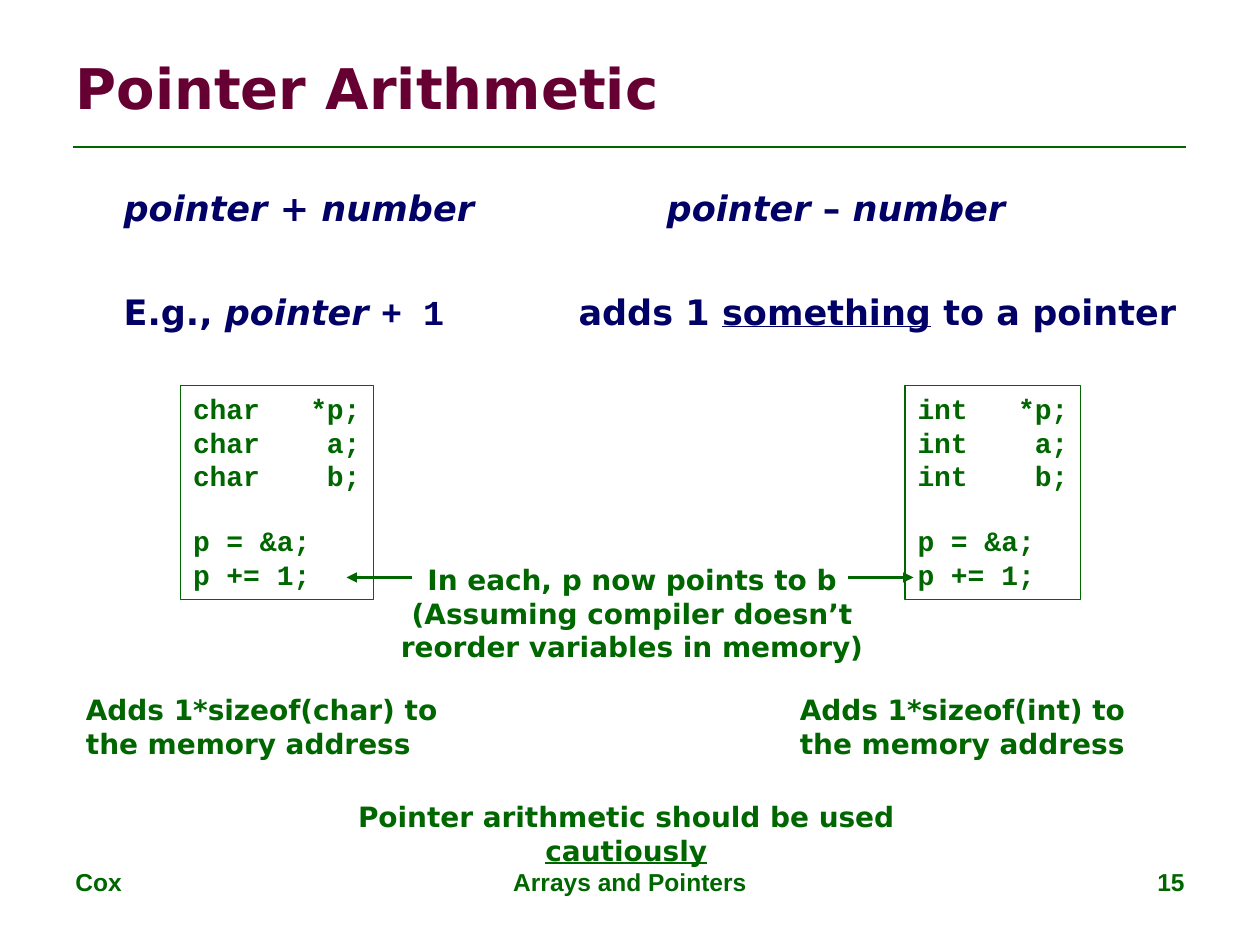
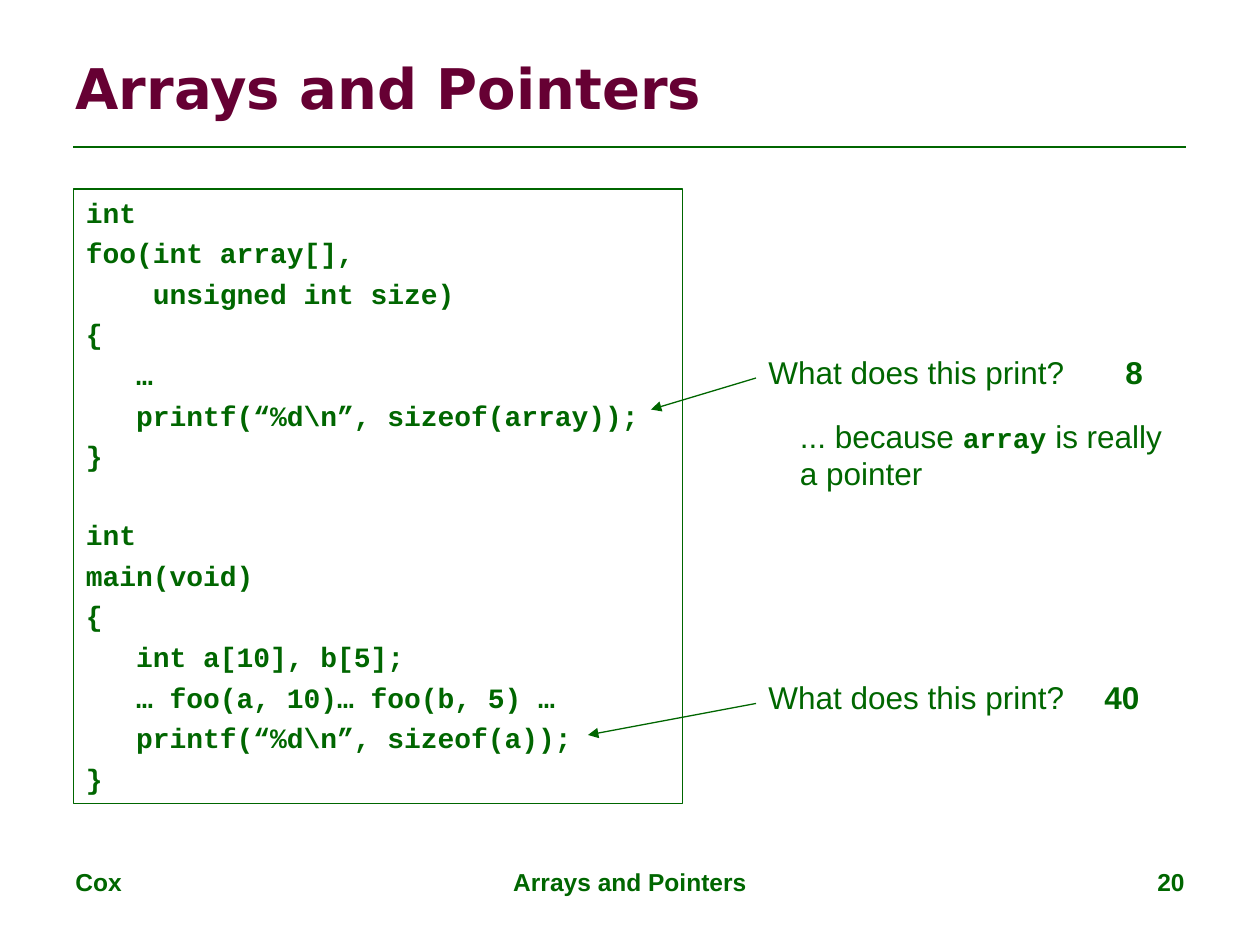
from lxml import etree
from pptx import Presentation
from pptx.dml.color import RGBColor
from pptx.enum.shapes import MSO_CONNECTOR, MSO_SHAPE
from pptx.enum.text import MSO_ANCHOR, MSO_AUTO_SIZE, PP_ALIGN
from pptx.oxml.ns import qn
from pptx.util import Inches, Pt

GREEN = RGBColor(0x00, 0x66, 0x00)
NAVY = RGBColor(0x00, 0x00, 0x66)
WINE = RGBColor(0x66, 0x00, 0x33)
SANS, MONO, HEAD = "Arial", "Courier New", "DejaVu Sans"
LEFT, MID, RIGHT = PP_ALIGN.LEFT, PP_ALIGN.CENTER, PP_ALIGN.RIGHT
TOP, CENTER = MSO_ANCHOR.TOP, MSO_ANCHOR.MIDDLE
FIXED = MSO_AUTO_SIZE.NONE
RECT, LINE = MSO_SHAPE.RECTANGLE, MSO_CONNECTOR.STRAIGHT
TITLE_ONLY = 5

WIDE, HIGH = Inches(10), Inches(7.5)
COLS, ROWS = 120, 90
CODE_ROW = 18  # points taken by one line of code

HEAD_BOX = (6, 3.6, 108, 9.4)
FOOT_BOX = (6, 82, 108, 6.2)
BODY_BOX = (7, 17, 106, 63)

BOLD = {"bold": True}
ITALIC = {"italic": True}
UNDER = {"underline": True}
CODE = {"name": MONO, "size": Pt(16), "bold": True}
NOTE = {"name": HEAD, "size": Pt(16), "bold": True}
FOOT = {"name": SANS, "size": Pt(14), "bold": True}
ASK = {"name": SANS, "size": Pt(18)}
LEAD = {"name": HEAD, "size": Pt(20), "bold": True}


def grid(*cells):
    """Turn alternating columns and rows into slide lengths."""
    units = WIDE / COLS, HIGH / ROWS
    return [int(cell * units[i % 2]) for i, cell in enumerate(cells)]


def within(box, x, y, w, h):
    return box[0] + x, box[1] + y, w, h


def style(run, look, color):
    for key, value in look.items():
        setattr(run.font, key, value)
    run.font.color.rgb = color


def write(shape, lines, look, color=GREEN, align=LEFT, anchor=TOP):
    """Fill a shape; a line is a string or a list of (text, extra look)."""
    frame = shape.text_frame
    frame.word_wrap = True
    frame.auto_size = FIXED
    frame.vertical_anchor = anchor
    for i, line in enumerate(lines):
        par = frame.paragraphs[0] if i == 0 else frame.add_paragraph()
        par.alignment = align
        for text, extra in [(line, {})] if isinstance(line, str) else line:
            run = par.add_run()
            run.text = text
            style(run, {**look, **extra}, color)
    return frame


def label(slide, box, lines, look, color=GREEN, align=LEFT):
    shape = slide.shapes.add_textbox(*grid(*box))
    return write(shape, lines, look, color, align)


def rule(slide, start, end, width, arrow=False):
    line = slide.shapes.add_connector(LINE, *grid(*start, *end))
    line.line.color.rgb = GREEN
    line.line.width = Pt(width)
    if arrow:
        etree.SubElement(line.line._get_or_add_ln(), qn("a:tailEnd"),
                         type="triangle")
    etree.SubElement(line._element.spPr, qn("a:effectLst"))


def listing(slide, box, blocks, lead=0):
    """Draw framed code, its blocks one empty row apart."""
    shape = slide.shapes.add_shape(RECT, *grid(*box))
    shape.shadow.inherit = False
    shape.fill.background()
    shape.line.color.rgb = GREEN
    shape.line.width = Pt(0.75)
    frame = write(shape, [line for block in blocks for line in block], CODE)
    frame.margin_right = 0
    pars = iter(frame.paragraphs)
    for i, block in enumerate(blocks):
        for j in range(len(block)):
            gap = CODE_ROW + lead if i and not j else 0
            next(pars).space_before = Pt(lead + gap)


def page(deck, title, number):
    slide = deck.slides.add_slide(deck.slide_layouts[TITLE_ONLY])
    head = slide.shapes.title
    head.left, head.top, head.width, head.height = grid(*HEAD_BOX)
    write(head, [title], {**LEAD, "size": Pt(32)}, WINE, anchor=CENTER)
    rule(slide, (7, 14), (113, 14), 1.5)
    footer(slide, FOOT_BOX, number)
    return slide


def footer(slide, box, number):
    side, mid = 28, 38
    parts = [("Cox", 0, side, LEFT),
             ("Arrays and Pointers", (box[2] - mid) / 2, mid, MID),
             (str(number), box[2] - side, side, RIGHT)]
    for text, x, w, align in parts:
        label(slide, within(box, x, 0, w, box[3]), [text], FOOT, align=align)


def forms(slide, box):
    """Write the two rows of pointer expressions in two columns."""
    rows = [
        (4.31, [("pointer", ITALIC), (" + ", {}), ("number\tpointer", ITALIC),
                (" – ", {}), ("number", ITALIC)]),
        (3.61, [("E.g., ", {}), ("pointer ", ITALIC),
                ("+ 1", {"name": MONO}), ("\tadds 1 ", {}),
                ("something", UNDER), (" to a pointer", {})]),
    ]
    frame = label(slide, box, [runs for _, runs in rows], LEAD, NAVY)
    frame.paragraphs[1].space_before = Pt(35)
    for par, (stop, _) in zip(frame.paragraphs, rows):
        tabs = etree.SubElement(par._p.get_or_add_pPr(), qn("a:tabLst"))
        etree.SubElement(tabs, qn("a:tab"), pos=str(Inches(stop)), algn="l")


def sample(slide, box, kind, note):
    """Show code for one type; note is the place of its remark."""
    names = ["  *p;", "   a;", "   b;"]
    listing(slide, box, [[f"{kind} {name}" for name in names],
                         ["p = &a;", "p += 1;"]])
    label(slide, note, [f"Adds 1*sizeof({kind}) to the memory address"], NOTE)


def arithmetic(slide, box):
    forms(slide, within(box, 3.6, 0.2, 103, 16))
    sample(slide, within(box, 10.2, 19.7, 18.4, 20.4), "char",
           within(box, 0, 48.4, 38, 7.7))
    sample(slide, within(box, 79.2, 19.7, 16.7, 20.4), "int",
           within(box, 68, 48.4, 36.7, 7.7))
    label(slide, within(box, 28.4, 36, 49.6, 10.8),
          ["In each, p now points to b",
           "(Assuming compiler doesn’t reorder variables in memory)"],
          NOTE, align=MID)
    center, y = box[0] + box[2] / 2, box[1] + 38
    for side in (-1, 1):
        rule(slide, (center + side * 20.8, y), (center + side * 27, y),
             1.25, arrow=True)
    label(slide, within(box, 21.7, 58.6, 61.9, 7.6),
          [[("Pointer arithmetic should be used ", {}),
            ("cautiously", UNDER)]], NOTE, align=MID)


def quiz(slide, box, answer, shift, target):
    """Ask what a line prints, with an arrow back to that line."""
    label(slide, box, ["What does this print?"], ASK)
    label(slide, within(box, shift, 0, 8, box[3]), [answer], {**ASK, **BOLD})
    rule(slide, (box[0], box[1] + 3), target, 0.75, arrow=True)


def arrays(slide, box):
    listing(slide, within(box, 0, 1, 58, 58.5), [
        ["int", "foo(int array[],", "    unsigned int size)", "{", "   …",
         "   printf(“%d\\n”, sizeof(array));", "}"],
        ["int", "main(void)", "{", "   int a[10], b[5];",
         "   … foo(a, 10)… foo(b, 5) …",
         "   printf(“%d\\n”, sizeof(a));", "}"],
    ], lead=4)
    quiz(slide, within(box, 65, 16, 32, 4.8), "8", 34, (62, 39))
    quiz(slide, within(box, 65, 47, 32, 4.8), "40", 32, (56, 70))
    label(slide, within(box, 68, 22.1, 38, 8.4),
          [[("... because ", {}), ("array", CODE), (" is really", {})],
           "a pointer"], ASK)


def main():
    deck = Presentation()
    deck.slide_width, deck.slide_height = WIDE, HIGH
    arithmetic(page(deck, "Pointer Arithmetic", 15), BODY_BOX)
    arrays(page(deck, "Arrays and Pointers", 20), BODY_BOX)
    deck.save("out.pptx")


if __name__ == "__main__":
    main()
